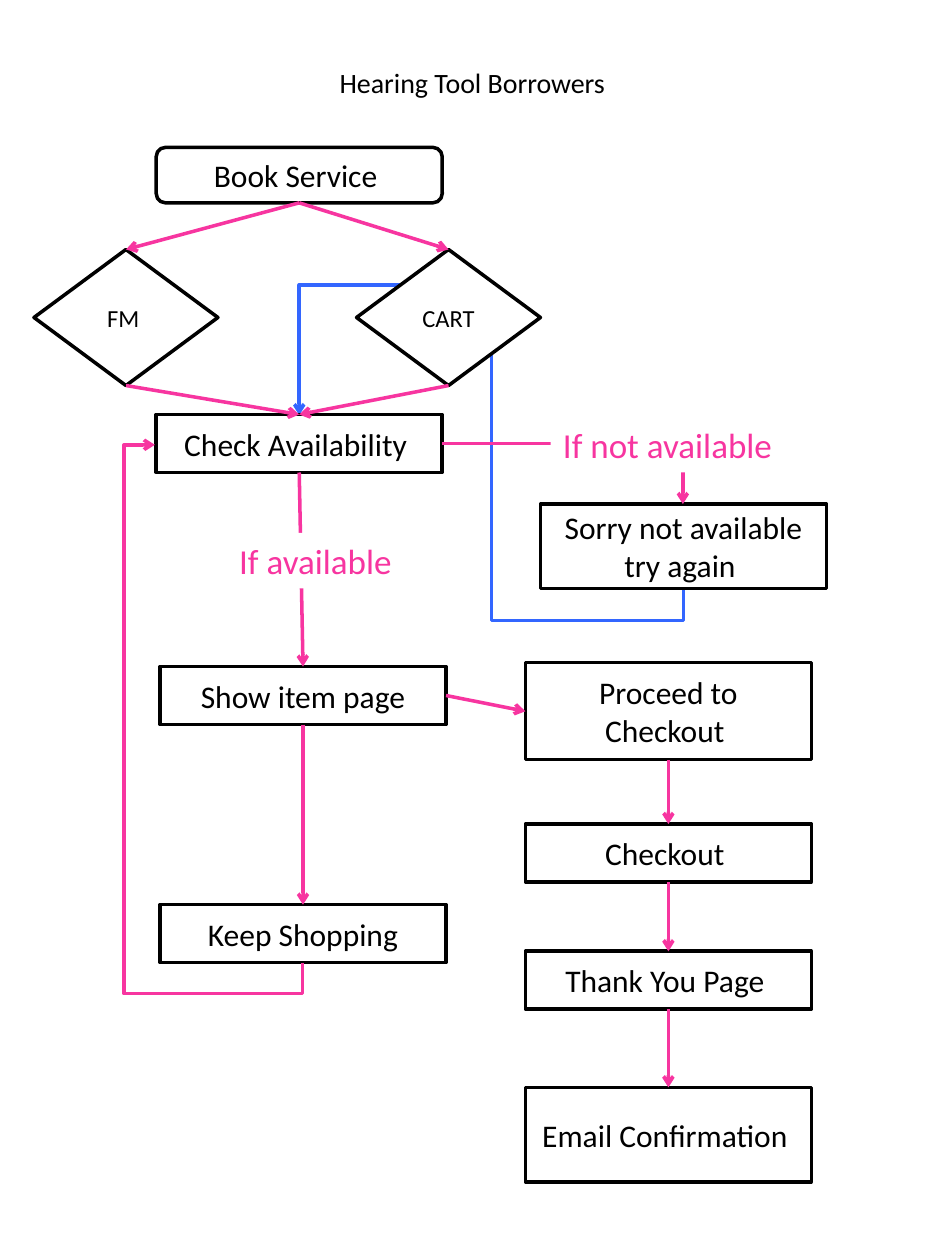
from lxml import etree
from pptx import Presentation
from pptx.dml.color import RGBColor
from pptx.enum.shapes import MSO_CONNECTOR, MSO_SHAPE
from pptx.enum.text import MSO_ANCHOR, MSO_AUTO_SIZE, PP_ALIGN
from pptx.oxml.ns import qn
from pptx.util import Inches, Pt

RECT, ROUNDED, DIAMOND = MSO_SHAPE.RECTANGLE, MSO_SHAPE.ROUNDED_RECTANGLE, MSO_SHAPE.DIAMOND
STRAIGHT, ELBOW = MSO_CONNECTOR.STRAIGHT, MSO_CONNECTOR.ELBOW
MIDDLE, CENTER, LEFT = MSO_ANCHOR.MIDDLE, PP_ALIGN.CENTER, PP_ALIGN.LEFT
FIT_SHAPE = MSO_AUTO_SIZE.SHAPE_TO_FIT_TEXT
TOP, LEFT_SIDE, BOTTOM, RIGHT_SIDE = range(4)
FONT = "Calibri"
COLORS = {"black": "000000", "white": "FFFFFF", "pink": "F735A0", "blue": "3366FF"}
BOX_W, BOX_H = 2.27, 0.46
DIAMOND_W, DIAMOND_H = 1.46, 1.08


def color(name):
    """Return the named colour."""
    return RGBColor.from_string(COLORS[name])


def write(tf, text, size, name="black", align=CENTER):
    """Write one run of text into the first paragraph."""
    p = tf.paragraphs[0]
    p.alignment = align
    r = p.add_run()
    r.text = text
    r.font.name = FONT
    r.font.size = Pt(size)
    r.font.color.rgb = color(name)


def add_filled(s, kind, x, y, w, h):
    """Add a white shape without a shadow."""
    sp = s.shapes.add_shape(kind, Inches(x), Inches(y), Inches(w), Inches(h))
    sp.shadow.inherit = False
    sp.fill.solid()
    sp.fill.fore_color.rgb = color("white")
    return sp


def add_node(s, text, x, y, w=BOX_W, h=BOX_H, kind=RECT, size=18):
    """Add an outlined step of the flow with centred text."""
    sp = add_filled(s, kind, x, y, w, h)
    sp.line.color.rgb = color("black")
    sp.line.width = Pt(2)
    tf = sp.text_frame
    tf.word_wrap = True
    tf.vertical_anchor = MIDDLE
    write(tf, text, size)
    return sp


def add_label(s, text, x, y, w):
    """Add a pink condition that covers the line behind it."""
    sp = add_filled(s, RECT, x, y, w, 0.44)
    sp.line.fill.background()
    tf = sp.text_frame
    tf.word_wrap = False
    tf.auto_size = FIT_SHAPE
    tf.vertical_anchor = MSO_ANCHOR.TOP
    write(tf, text, 20, "pink", LEFT)


def add_title(s, text):
    """Add the centred title across the slide."""
    tf = s.shapes.add_textbox(0, Inches(0.49), Inches(7.5), Inches(0.32)).text_frame
    tf.word_wrap = True
    tf.auto_size = FIT_SHAPE
    tf.margin_left = tf.margin_right = Inches(0.05)
    tf.margin_top = tf.margin_bottom = Inches(0.03)
    write(tf, text, 16)


def style_arrow(c, name):
    """Colour a connector, remove its shadow and give it an arrowhead."""
    c.line.color.rgb = color(name)
    c.line.width = Pt(2)
    etree.SubElement(c.line._get_or_add_ln(), qn("a:tailEnd"), type="arrow")
    etree.SubElement(c._element.spPr, qn("a:effectLst"))


def add_arrow(s, start, start_side, end, end_side):
    """Join two steps with a straight arrow."""
    c = s.shapes.add_connector(STRAIGHT, 0, 0, 0, 0)
    c.begin_connect(start, start_side)
    c.end_connect(end, end_side)
    style_arrow(c, "pink")


def add_bent_arrow(s, preset, x, y, w, h, name="pink", turned=False, adjust=()):
    """Add a bent arrow in its frame, mirrored and turned a quarter if asked."""
    x1, x2 = (x + w, x) if turned else (x, x + w)
    c = s.shapes.add_connector(ELBOW, Inches(x1), Inches(y), Inches(x2), Inches(y + h))
    spPr = c._element.spPr
    if turned:
        spPr.find(qn("a:xfrm")).set("rot", str(90 * 60000))
    geom = spPr.find(qn("a:prstGeom"))
    geom.set("prst", preset)
    guides = geom.find(qn("a:avLst"))
    for i, value in enumerate(adjust, 1):
        etree.SubElement(guides, qn("a:gd"), name=f"adj{i}", fmla=f"val {round(value * 100000)}")
    style_arrow(c, name)


def main():
    """Build the booking flowchart."""
    prs = Presentation()
    prs.slide_width, prs.slide_height = Inches(7.5), Inches(10)
    s = prs.slides.add_slide(prs.slide_layouts[6])

    add_bent_arrow(s, "bentConnector5", 3.21, 2.46, 1.38, 3.05, "blue", True, (-0.18, 0.5, 1.75))
    add_title(s, "Hearing Tool Borrowers")

    book = add_node(s, "Book Service ", 1.24, 1.17, h=0.44, kind=ROUNDED)
    services = [add_node(s, text, x, 1.98, DIAMOND_W, DIAMOND_H, DIAMOND, 14)
                for text, x in (("FM ", 0.27), ("CART", 2.83))]
    check = add_node(s, "Check Availability ", 1.24, 3.29)
    item = add_node(s, "Show item page", 1.27, 5.29)
    keep = add_node(s, "Keep Shopping", 1.27, 7.18)
    orders = [add_node(s, text, 4.17, y, h=h) for text, y, h in (
        ("Proceed to Checkout ", 5.26, 0.77),
        ("Checkout ", 6.54, BOX_H),
        ("Thank You Page ", 7.55, BOX_H),
        ("Email Confirmation ", 8.63, 0.75),
    )]
    add_node(s, "Sorry not available try again ", 4.29, 4, h=0.67)

    for service in services:
        add_arrow(s, book, BOTTOM, service, TOP)
        add_arrow(s, service, BOTTOM, check, TOP)
    for start, end in [(check, item), (item, keep), *zip(orders, orders[1:])]:
        add_arrow(s, start, BOTTOM, end, TOP)
    add_arrow(s, item, RIGHT_SIDE, orders[0], LEFT_SIDE)
    add_bent_arrow(s, "bentConnector2", 3.51, 3.52, 1.91, 0.48)
    add_bent_arrow(s, "bentConnector4", -0.24, 5, 4.11, 1.17, turned=True, adjust=(-0.06, 1.21))

    add_label(s, "If available", 1.8, 4.23, 1.54)
    add_label(s, "If not available", 4.37, 3.31, 2.03)
    prs.save("out.pptx")


if __name__ == "__main__":
    main()
